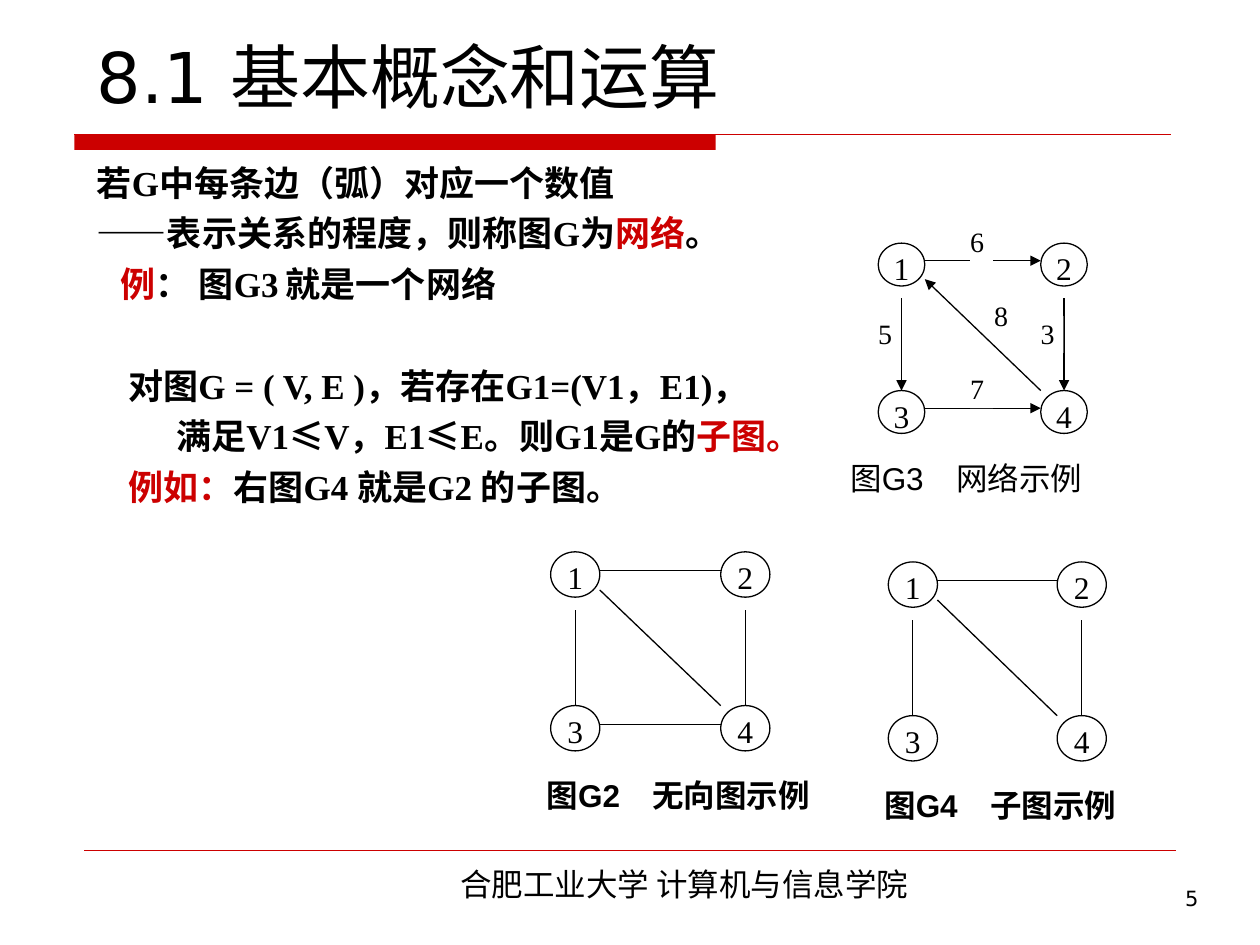
from lxml.etree import SubElement
from pptx import Presentation
from pptx.dml.color import RGBColor
from pptx.enum.shapes import MSO_CONNECTOR, MSO_SHAPE
from pptx.enum.text import MSO_ANCHOR, PP_ALIGN as Align
from pptx.oxml.ns import qn
from pptx.util import Inches, Pt

RED, BLACK, WHITE = "CC0000", "000000", "FFFFFF"
SERIF, SANS, TITLE_FONT, CJK = "Times New Roman", "Arial", "DejaVu Sans", "Noto Sans CJK SC"

BODY = [
    dict(runs=["若G中每条边（弧）对应一个数值"]),
    dict(runs=["——表示关系的程度，则称图G为", ("网络", RED), "。"], before=5),
    dict(runs=[("例", RED), "： 图G3\t就是一个网络"], before=5, indent=0.19, tab=1.71),
    dict(runs=["对图G = ( V, E )，若存在G1=(V1，E1)，"], before=34, indent=0.25),
    dict(runs=["满足V1", ("≤", BLACK, CJK), "V，E1", ("≤", BLACK, CJK), "E。则G1是G的",
               ("子图。", RED)], before=5, indent=0.63),
    dict(runs=[("例如：", RED), "右图G4 就是G2 的子图。"], before=5, indent=0.25),
]

GRAPHS = [
    dict(origin=(6.97, 1.93), node=(0.37, 0.34), step=(1.29, 1.17), arrows=True,
         edges=[(1, 2), (3, 4), (1, 3), (2, 4), (4, 1)],
         weights=[("6", 0.73, -0.15), ("5", 0, 0.58), ("8", 0.92, 0.44),
                  ("3", 1.29, 0.58), ("7", 0.73, 1.02)],
         caption="图G3\t网络示例", caption_at=(6.65, 3.59), bold=False),
    dict(origin=(7.05, 4.46), node=(0.39, 0.36), step=(1.34, 1.22), arrows=False,
         edges=[(1, 2), (1, 3), (2, 4), (4, 1)], weights=[],
         caption="图G4\t子图示例", caption_at=(6.92, 6.19), bold=True),
    dict(origin=(4.37, 4.38), node=(0.39, 0.36), step=(1.35, 1.22), arrows=False,
         edges=[(1, 2), (3, 4), (1, 3), (2, 4), (4, 1)], weights=[],
         caption="图G2\t无向图示例", caption_at=(4.24, 6.11), bold=True),
]


def rgb(value):
    """Turn a hex string into a colour."""
    return RGBColor.from_string(value)


def write(shape, paragraphs, *, size, font=SANS, bold=False, align=Align.LEFT,
          anchor=MSO_ANCHOR.TOP, inset=(0.1, 0.05)):
    """Fill a shape with formatted paragraphs, or with one plain string."""
    frame = shape.text_frame
    frame.word_wrap = True
    frame.vertical_anchor = anchor
    frame.margin_left = frame.margin_right = Inches(inset[0])
    frame.margin_top = frame.margin_bottom = Inches(inset[1])
    if isinstance(paragraphs, str):
        paragraphs = [dict(runs=[paragraphs])]
    for number, content in enumerate(paragraphs):
        paragraph = frame.add_paragraph() if number else frame.paragraphs[0]
        paragraph.alignment = align
        if "before" in content:
            paragraph.space_before = Pt(content["before"])
        properties = paragraph._p.get_or_add_pPr()
        if "indent" in content:
            properties.set("marL", "0")
            properties.set("indent", str(Inches(content["indent"])))
        if "tab" in content:
            tabs = SubElement(properties, qn("a:tabLst"))
            SubElement(tabs, qn("a:tab"), pos=str(Inches(content["tab"])), algn="l")
        for piece in content["runs"]:
            text, color, face = ((piece,) if isinstance(piece, str) else piece) + (
                (BLACK, font) if isinstance(piece, str) else (font,) * (3 - len(piece)))
            run = paragraph.add_run()
            run.text = text
            run.font.size, run.font.bold, run.font.name = Pt(size), bold, face
            run.font.color.rgb = rgb(color)
            SubElement(run._r.get_or_add_rPr(), qn("a:ea"), typeface=CJK)


def add_text(slide, box, paragraphs, **style):
    """Add a text box."""
    write(slide.shapes.add_textbox(*map(Inches, box)), paragraphs, **style)


def add_block(slide, kind, box, fill, outline=None):
    """Add a filled preset shape."""
    block = slide.shapes.add_shape(kind, *map(Inches, box))
    block.shadow.inherit = False
    block.fill.solid()
    block.fill.fore_color.rgb = rgb(fill)
    if outline:
        block.line.color.rgb = rgb(outline)
        block.line.width = Pt(0.75)
    else:
        block.line.fill.background()
    return block


def add_line(slide, start, end, color=BLACK, width=0.75, arrow=False):
    """Add a straight connector."""
    line = slide.shapes.add_connector(MSO_CONNECTOR.STRAIGHT, *map(Inches, start + end))
    line.line.color.rgb = rgb(color)
    line.line.width = Pt(width)
    if arrow:
        SubElement(line.line._get_or_add_ln(), qn("a:tailEnd"), type="triangle")
    SubElement(line._element.spPr, qn("a:effectLst"))
    return line


def draw_graph(slide, graph):
    """Draw the nodes, edges, weights and caption of a four-node graph."""
    left, top = graph["origin"]
    width, height = graph["node"]
    step_x, step_y = graph["step"]
    places = {n: (left + (n - 1) % 2 * step_x, top + (n - 1) // 2 * step_y)
              for n in range(1, 5)}
    nodes = {}
    for number, place in places.items():
        nodes[number] = add_block(slide, MSO_SHAPE.OVAL, place + (width, height), WHITE, BLACK)
        write(nodes[number], str(number), size=18, font=SERIF, align=Align.CENTER, inset=(0, 0))
    for source, target in graph["edges"]:
        (x1, y1), (x2, y2) = places[source], places[target]
        if y1 == y2:
            start, end = (x1 + width, y1 + 0.41 * height), (x2, y2 + 0.41 * height)
        elif x1 == x2:
            start, end = (x1 + width / 2, y1 + 1.29 * height), (x2 + width / 2, y2)
        else:
            start, end = (x1, y1), (x2 + width, y2 + 0.84 * height)
        edge = add_line(slide, start, end, arrow=graph["arrows"])
        if x1 == x2:
            edge.end_connect(nodes[target], 0)
    for weight, dx, dy in graph["weights"]:
        label = add_block(slide, MSO_SHAPE.RECTANGLE, (left + dx, top + dy, 0.18, 0.29), WHITE)
        write(label, weight, size=16, font=SERIF, inset=(0, 0))
    add_text(slide, graph["caption_at"] + (2.3, 0.4),
             [dict(runs=[graph["caption"]], tab=0.84)], size=18, bold=graph["bold"])


def main():
    """Build the slide and save it."""
    deck = Presentation()
    deck.slide_width, deck.slide_height = Inches(10), Inches(7.5)
    slide = deck.slides.add_slide(deck.slide_layouts[6])
    add_block(slide, MSO_SHAPE.RECTANGLE, (0.59, 1.07, 5.09, 0.12), RED)
    add_line(slide, (0.59, 1.07), (9.29, 1.07), RED)
    add_line(slide, (0.67, 6.75), (9.33, 6.75), RED, 0.25)
    add_text(slide, (2.4, 6.82, 6.06, 0.4), "合肥工业大学 计算机与信息学院",
             size=18, font=CJK, align=Align.CENTER)
    add_text(slide, (0.67, 0, 8.75, 0.98), "8.1 基本概念和运算",
             size=40, font=TITLE_FONT, anchor=MSO_ANCHOR.BOTTOM)
    add_text(slide, (0.67, 1.23, 8.82, 5.43), BODY, size=20, font=SERIF, bold=True)
    for graph in GRAPHS:
        draw_graph(slide, graph)
    add_text(slide, (7.44, 6.98, 2.17, 0.52), "5", size=12, font=TITLE_FONT, align=Align.RIGHT)
    deck.save("out.pptx")


if __name__ == "__main__":
    main()
